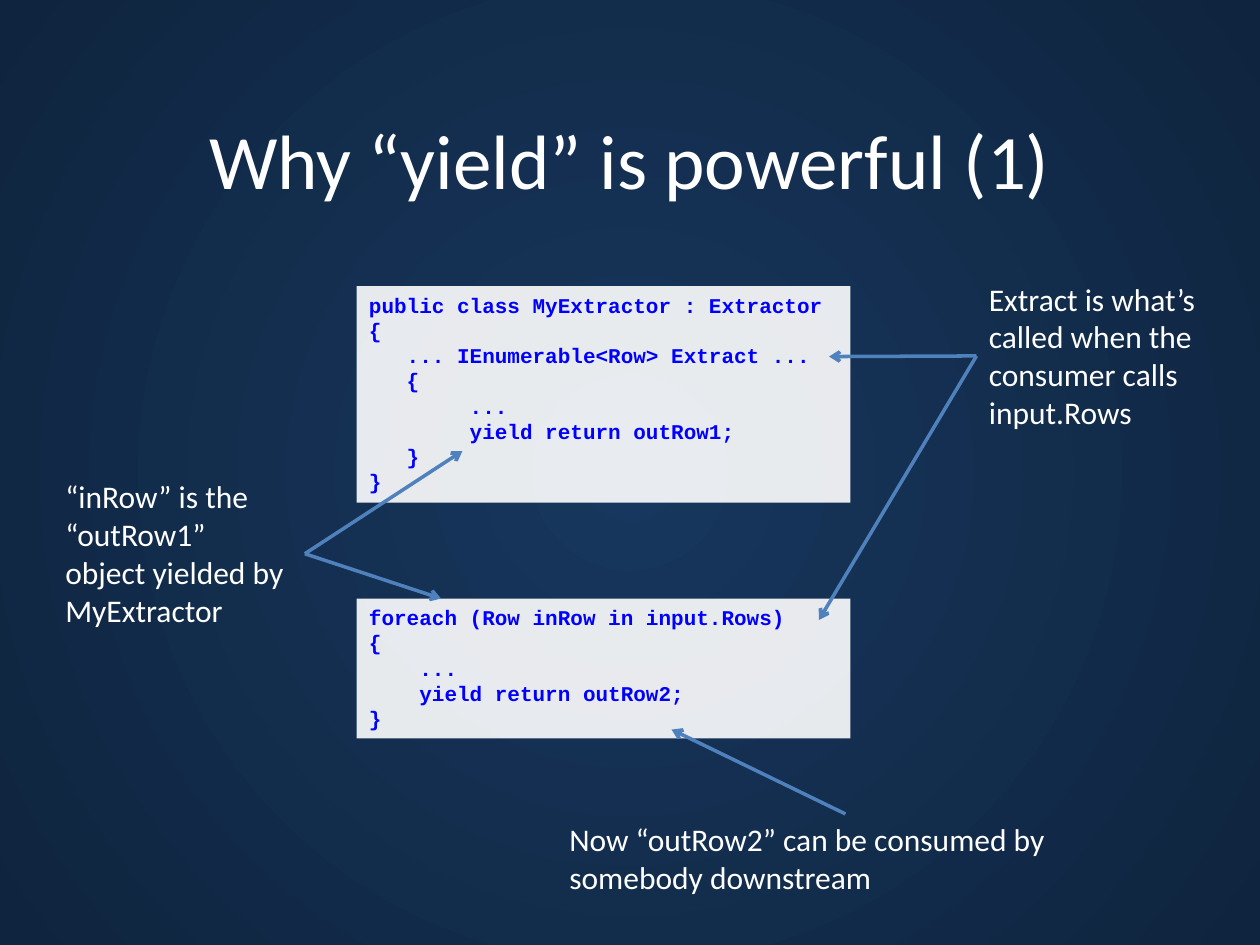
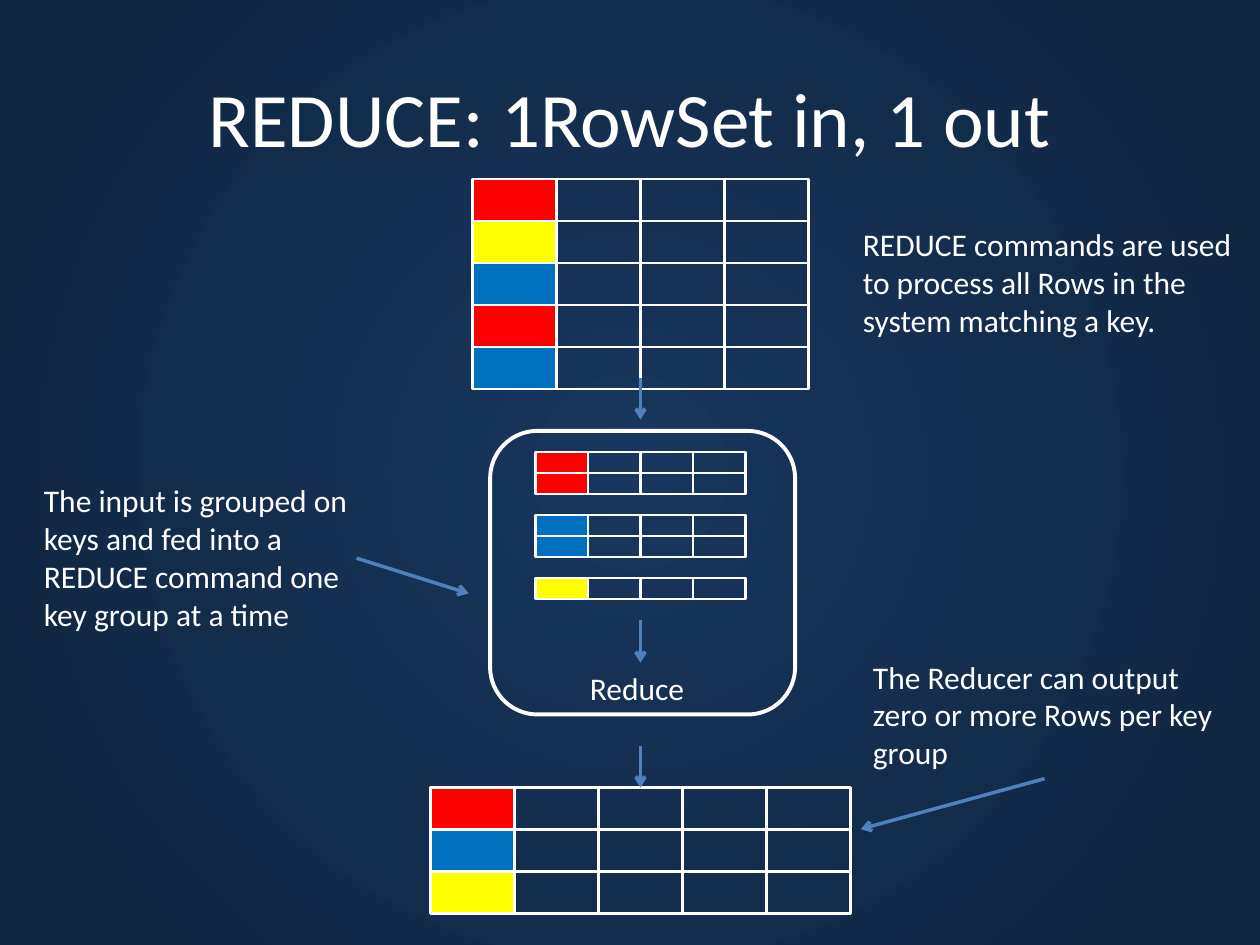
from lxml import etree
from pptx import Presentation
from pptx.dml.color import RGBColor
from pptx.enum.shapes import MSO_CONNECTOR, MSO_SHAPE
from pptx.enum.text import MSO_ANCHOR, MSO_AUTO_SIZE, PP_ALIGN
from pptx.oxml.ns import qn
from pptx.util import Inches, Pt

STRAIGHT = MSO_CONNECTOR.STRAIGHT
RECTANGLE, ROUNDED = MSO_SHAPE.RECTANGLE, MSO_SHAPE.ROUNDED_RECTANGLE
MIDDLE, CENTER = MSO_ANCHOR.MIDDLE, PP_ALIGN.CENTER
LEFT_ALIGN, TOP_ANCHOR = PP_ALIGN.LEFT, MSO_ANCHOR.TOP
GROW = MSO_AUTO_SIZE.SHAPE_TO_FIT_TEXT
TOP, LEFT, BOTTOM, RIGHT = range(4)

WHITE = RGBColor(0xFF, 0xFF, 0xFF)
NAVY = RGBColor(0x17, 0x37, 0x5E)
MIDNIGHT = RGBColor(0x0F, 0x24, 0x3E)
CODE_BLUE = RGBColor(0x00, 0x00, 0xFF)
ARROW_BLUE = RGBColor(0x4F, 0x81, 0xBD)
RED = RGBColor(0xFF, 0x00, 0x00)
YELLOW = RGBColor(0xFF, 0xFF, 0x00)
BLUE = RGBColor(0x00, 0x70, 0xC0)

BODY_FONT, CODE_FONT = "Calibri", "Courier New"
CELL = (2 / 3, 1 / 3)
SMALL_CELL = (5 / 12, 1 / 6)
AXIS = 61 / 12

EXTRACTOR_CODE = """public class MyExtractor : Extractor
{
   ... IEnumerable<Row> Extract ...
   {
        ...
        yield return outRow1;
   }
}"""
CONSUMER_CODE = """foreach (Row inRow in input.Rows)
{
    ...
    yield return outRow2;
}"""


def inches(box):
    """Turn a sequence of numbers into lengths."""
    return [Inches(value) for value in box]


def set_background(master):
    """Give every slide the radial navy background."""
    fill = master.background.fill
    fill.gradient()
    for stop, color in zip(fill.gradient_stops, (NAVY, MIDNIGHT)):
        stop.color.rgb = color
    linear = master.element.find(".//" + qn("p:bg")).find(".//" + qn("a:lin"))
    radial = etree.Element(qn("a:path"), path="circle")
    etree.SubElement(radial, qn("a:fillToRect"), l="50000", t="50000", r="50000", b="50000")
    linear.getparent().replace(linear, radial)


def write(paragraph, text, size, color=WHITE, font=BODY_FONT, bold=False):
    """Add one formatted run to a paragraph."""
    run = paragraph.add_run()
    run.text = text
    run.font.size = Pt(size)
    run.font.name = font
    run.font.bold = bold
    run.font.color.rgb = color


def add_title(slide, box, text):
    """Place the centred slide title."""
    frame = slide.shapes.add_textbox(*inches(box)).text_frame
    frame.word_wrap = True
    frame.vertical_anchor = MIDDLE
    frame.paragraphs[0].alignment = CENTER
    write(frame.paragraphs[0], text, 44)


def add_note(slide, box, text, wrap=True):
    """Place a white remark and return its box."""
    note = slide.shapes.add_textbox(*inches(box))
    note.text_frame.word_wrap = wrap
    note.text_frame.auto_size = GROW
    write(note.text_frame.paragraphs[0], text, 18)
    return note


def add_code(slide, box, code):
    """Place a translucent white panel with a code listing."""
    panel = slide.shapes.add_shape(RECTANGLE, *inches(box))
    panel.shadow.inherit = False
    panel.line.fill.background()
    panel.fill.solid()
    panel.fill.fore_color.rgb = WHITE
    color = panel.fill._xPr.find(".//" + qn("a:srgbClr"))
    etree.SubElement(color, qn("a:alpha"), val="90000")
    frame = panel.text_frame
    frame.word_wrap = True
    frame.auto_size = GROW
    frame.vertical_anchor = TOP_ANCHOR
    for index, line in enumerate(code.split("\n")):
        paragraph = frame.add_paragraph() if index else frame.paragraphs[0]
        paragraph.alignment = LEFT_ALIGN
        write(paragraph, line, 12, CODE_BLUE, CODE_FONT, True)


def add_arrow(slide, start, end, source=None, target=None):
    """Draw an arrow, joined to (shape, side) pairs where given."""
    arrow = slide.shapes.add_connector(STRAIGHT, *inches(start + end))
    if source:
        arrow.begin_connect(*source)
    if target:
        arrow.end_connect(*target)
    arrow.line.color.rgb = ARROW_BLUE
    arrow.line.width = Pt(2)
    etree.SubElement(arrow.line._get_or_add_ln(), qn("a:tailEnd"), type="arrow")
    etree.SubElement(arrow._element.spPr, qn("a:effectLst"))


def add_outline(shapes, kind, box, width, color=None):
    """Add a white-edged shape, filled only when a colour is given."""
    shape = shapes.add_shape(kind, *inches(box))
    shape.shadow.inherit = False
    shape.line.color.rgb = WHITE
    shape.line.width = Pt(width)
    if color is None:
        shape.fill.background()
    else:
        shape.fill.solid()
        shape.fill.fore_color.rgb = color
    return shape


def add_rowset(slide, axis, top, keys, columns, cell):
    """Draw rows with a coloured key cell, centred on axis; return the top row."""
    width, height = cell
    left = axis - columns * width / 2
    shapes = slide.shapes.add_group_shape().shapes
    cells = [
        add_outline(shapes, RECTANGLE,
                    (left + column * width, top + row * height, width, height),
                    1.5, None if column else key)
        for row, key in enumerate(keys)
        for column in range(columns)
    ]
    return cells[:columns]


def add_reduce_stage(slide, box):
    """Draw the Reduce stage with its key groups inside the given box."""
    left, top, width, height = box
    group_top = top + 1 / 6
    for keys in ([RED] * 2, [BLUE] * 2, [YELLOW]):
        add_rowset(slide, AXIS, group_top, keys, 4, SMALL_CELL)
        group_top += (len(keys) + 1) * SMALL_CELL[1]
    add_outline(slide.shapes, ROUNDED, box, 2.25)
    label = add_note(slide, (AXIS - 0.5, top + 1.84, 1, 0.4), "Reduce", wrap=False)
    add_arrow(slide, (AXIS, top + 1.5), (AXIS, top + 1.84), target=(label, TOP))


def build_yield_slide(slide):
    """Explain how yield links an extractor to its consumer."""
    add_title(slide, (0.5, 0.77, 9, 0.98), "Why “yield” is powerful (1)")
    add_code(slide, (2.83, 4.75, 3.92, 1.11), CONSUMER_CODE)
    add_code(slide, (2.83, 2.27, 3.92, 1.72), EXTRACTOR_CODE)
    remarks = [
        ((7.75, 2.17, 2.17, 1.31), "Extract is what’s called when the consumer calls input.Rows",
         LEFT, (7.75, 2.82), [(6.58, 2.83), (6.5, 4.92)]),
        ((0.42, 3.74, 2, 1.31), "“inRow” is the “outRow1” object yielded by MyExtractor",
         RIGHT, (2.42, 4.4), [(3.67, 3.58), (3.5, 4.75)]),
        ((4.42, 6.46, 4.58, 0.71), "Now “outRow2” can be consumed by somebody downstream",
         TOP, (6.71, 6.46), [(5.33, 5.79)]),
    ]
    for box, text, side, start, ends in remarks:
        note = add_note(slide, box, text)
        for end in ends:
            add_arrow(slide, start, end, source=(note, side))


def build_reduce_slide(slide):
    """Show a row set grouped by key, reduced and output."""
    add_title(slide, (0.5, 0.3, 9, 1.25), "REDUCE: 1RowSet in, 1 out")
    add_rowset(slide, AXIS, 1.42, [RED, YELLOW, BLUE, RED, BLUE], 4, CELL)
    output_row = add_rowset(slide, AXIS, 6.25, [RED, BLUE, YELLOW], 5, CELL)
    add_arrow(slide, (AXIS, 3), (AXIS, 3.33))
    add_arrow(slide, (AXIS, 5.92), (AXIS, 6.25), target=(output_row[2], TOP))
    add_reduce_stage(slide, (3.89, 3.42, 2.42, 2.25))
    add_note(slide, (0.25, 3.77, 2.75, 1.31),
             "The input is grouped on keys and fed into a REDUCE command one key group at a time")
    add_arrow(slide, (2.83, 4.43), (3.72, 4.71))
    add_note(slide, (6.75, 1.74, 3.17, 1.01),
             "REDUCE commands are used to process all Rows in the system matching a key.")
    output_note = add_note(slide, (6.83, 5.17, 2.92, 1.01),
                           "The Reducer can output zero or more Rows per key group")
    add_arrow(slide, (8.29, 6.18), (6.83, 6.58), source=(output_note, BOTTOM))


def main():
    """Build and save the two slides."""
    deck = Presentation()
    deck.slide_width, deck.slide_height = Inches(10), Inches(7.5)
    set_background(deck.slide_master)
    blank = deck.slide_layouts[6]
    for build in (build_yield_slide, build_reduce_slide):
        build(deck.slides.add_slide(blank))
    deck.save("out.pptx")


if __name__ == "__main__":
    main()
